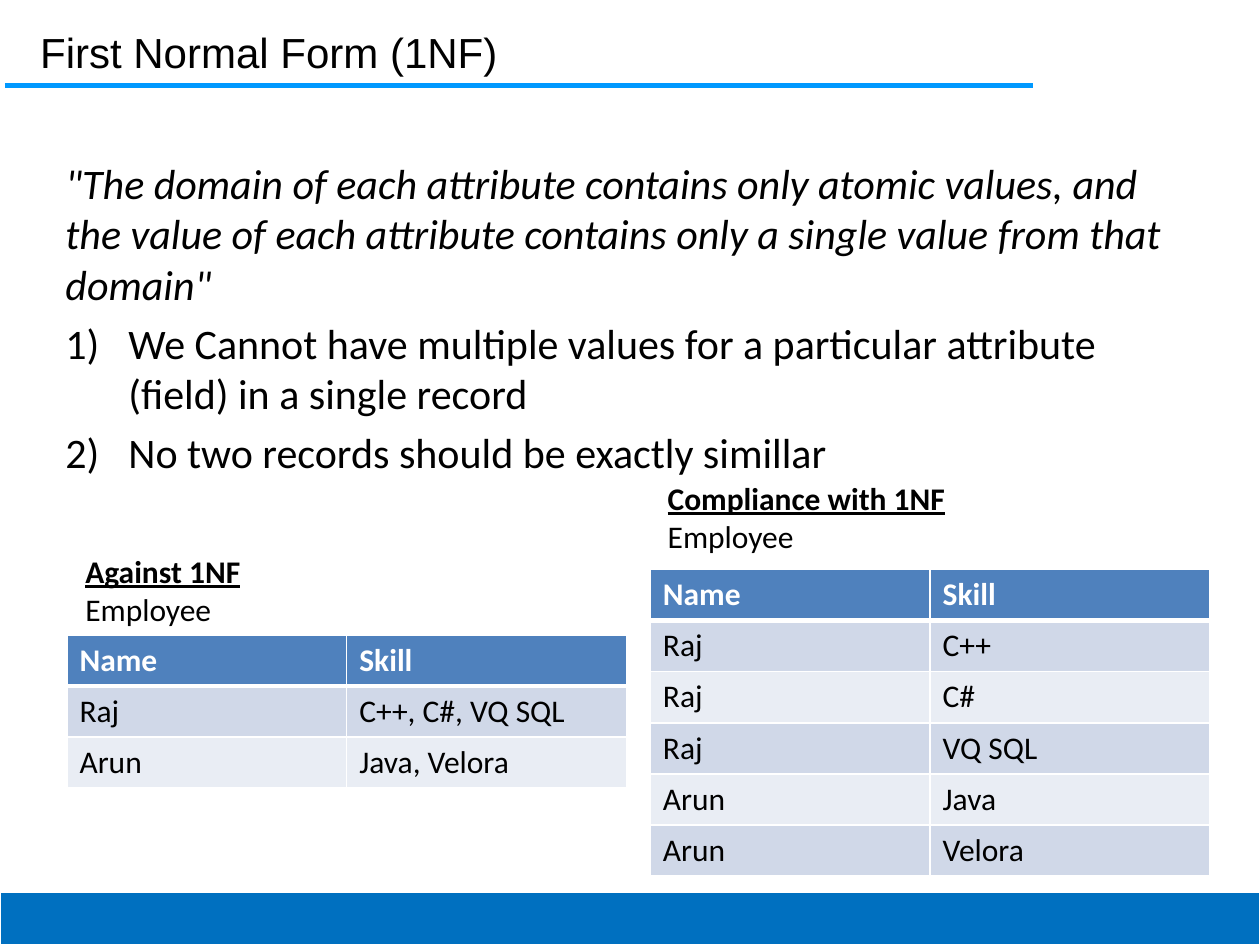
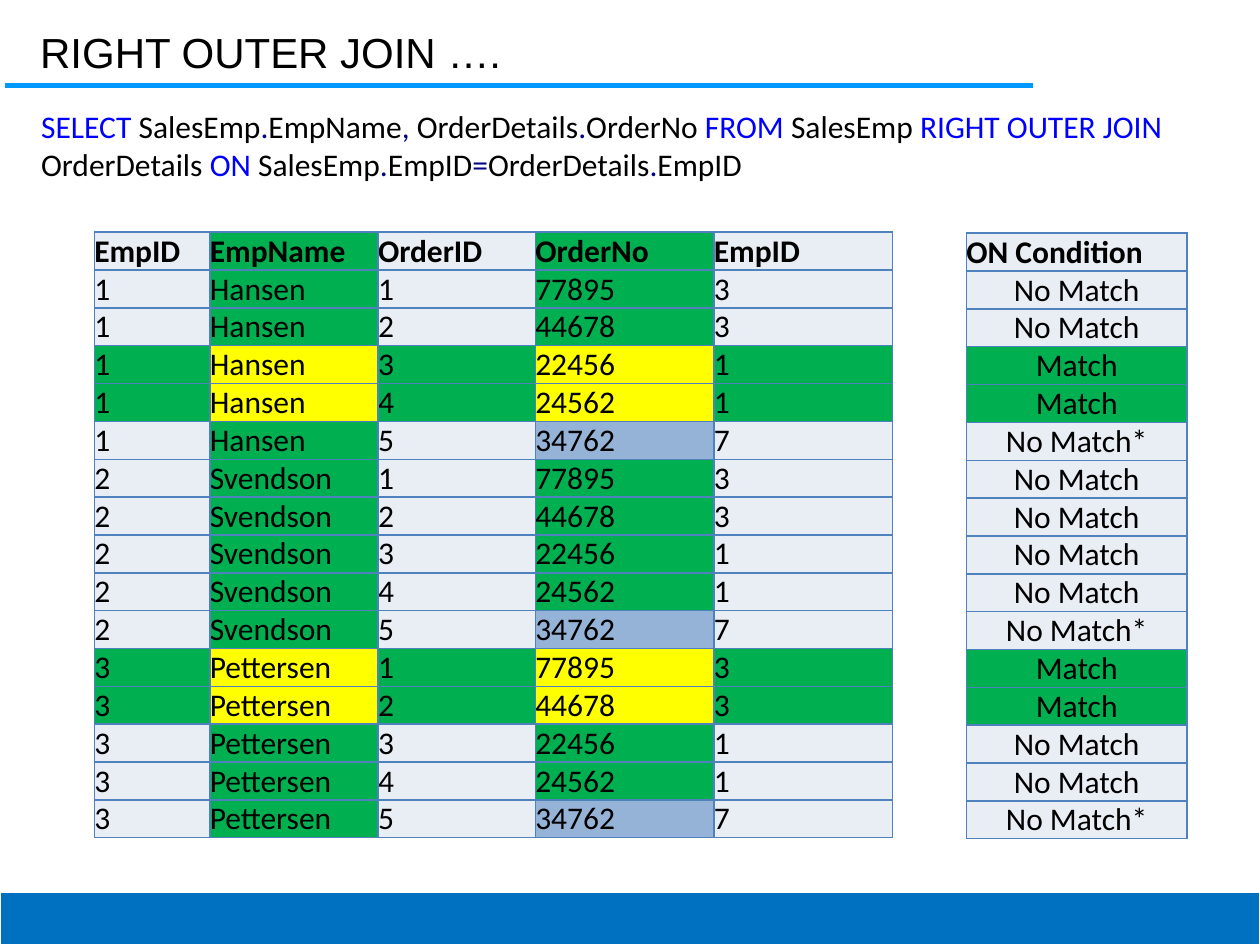
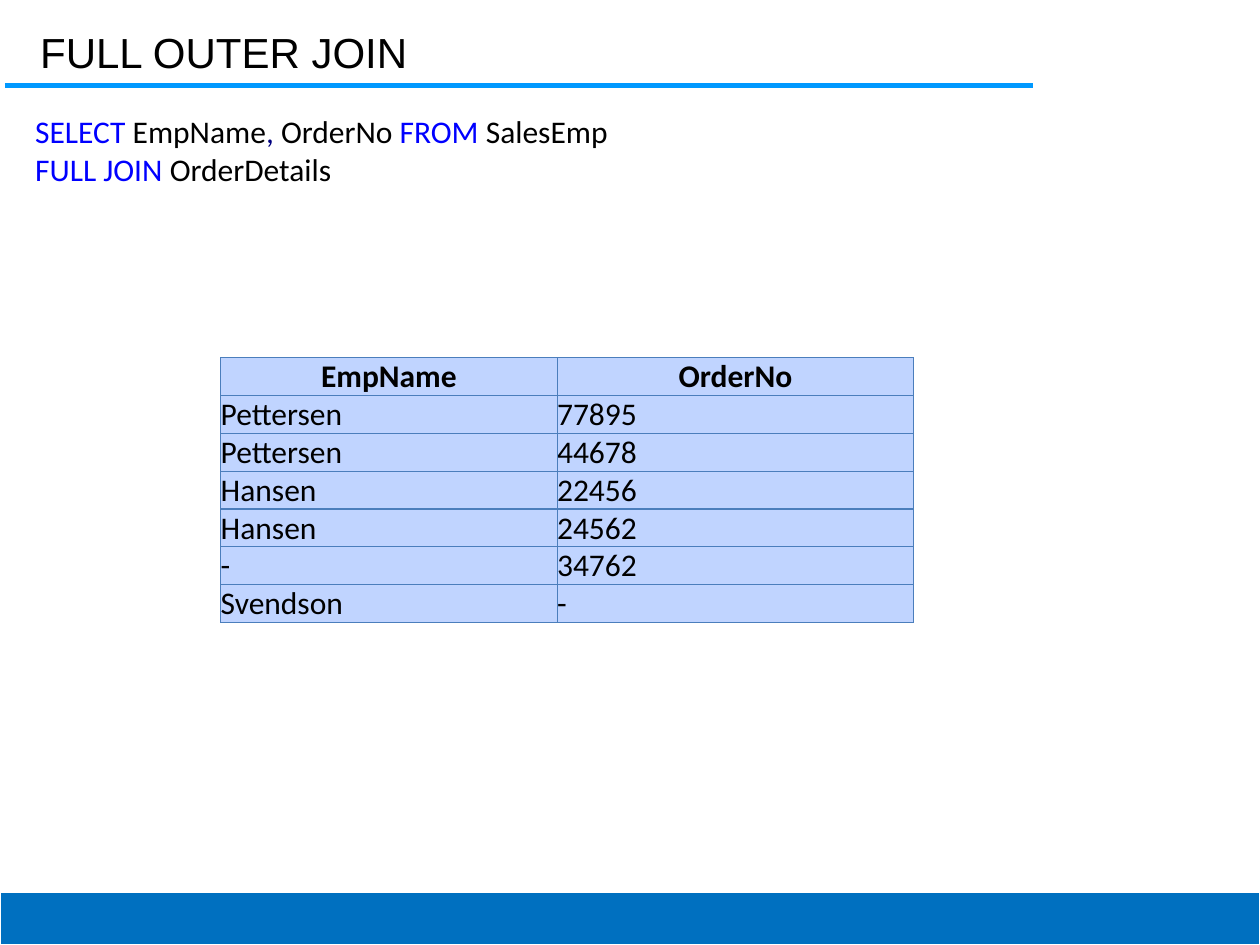
from dataclasses import dataclass
from itertools import product
from typing import Optional

from lxml import etree
from pptx import Presentation
from pptx import util as u
from pptx.dml.color import RGBColor
from pptx.enum import shapes, text
from pptx.oxml import ns

BLACK, WHITE, BLUE, NAVY = "000000", "FFFFFF", "0000FF", "000080"
RULE, FOOTER = "0099FF", "0070C0"
HEADER, BAND_DARK, PALE = "4F81BD", "D0D8E8", "E9EDF4"
GREEN, YELLOW, STEEL = "00B050", "FFFF00", "95B3D7"
RESULT_FILL, RESULT_BORDER = "C0D4FF", "4B7EBC"
CENTER, LEFT = text.PP_ALIGN.CENTER, text.PP_ALIGN.LEFT


@dataclass
class Box:
    left: float
    top: float
    width: float
    height: float

    def emu(self) -> list:
        return [u.Cm(v) for v in (self.left, self.top, self.width, self.height)]


@dataclass
class Run:
    text: str
    color: str = BLACK
    bold: bool = False
    italic: bool = False
    underline: bool = False


@dataclass
class Para:
    runs: list[Run]
    numbered: bool = False
    before: float = 0


@dataclass
class Cell:
    text: str
    fill: str
    color: str = BLACK
    bold: bool = False
    align: text.PP_ALIGN = LEFT


@dataclass
class Grid:
    left: float
    top: float
    cols: list[float]
    row_height: float
    border: str
    border_pt: float = 1
    header_pt: Optional[float] = None
    tight: bool = False


def rgb(color: str) -> RGBColor:
    return RGBColor.from_string(color)


def sub(parent, tag: str, **attrs: str):
    return etree.SubElement(parent, ns.qn(tag), attrs)


def style(r, run: Run, size: float, font: str = "Calibri") -> None:
    r.font.size = u.Pt(size)
    r.font.name = font
    r.font.color.rgb = rgb(run.color)
    r.font.bold = run.bold
    r.font.italic = run.italic
    r.font.underline = run.underline


def add_text(s, box: Box, paras: list[Para], size: float = 18,
             font: str = "Calibri", grow: bool = True):
    tf = s.shapes.add_textbox(*box.emu()).text_frame
    tf.word_wrap = True
    tf.auto_size = text.MSO_AUTO_SIZE.SHAPE_TO_FIT_TEXT if grow else text.MSO_AUTO_SIZE.NONE
    for i, para in enumerate(paras):
        p = tf.add_paragraph() if i else tf.paragraphs[0]
        if para.before:
            p.space_before = u.Pt(para.before)
        if para.numbered:
            pPr = p._p.get_or_add_pPr()
            pPr.set("marL", str(u.Cm(1.27)))
            pPr.set("indent", str(-u.Cm(1.27)))
            sub(pPr, "a:buFont", typeface="+mj-lt")
            sub(pPr, "a:buAutoNum", type="arabicParenR")
        for run in para.runs:
            r = p.add_run()
            r.text = run.text
            style(r, run, size, font)
    return tf


def add_border(cell, side: str, color: str, width: float) -> None:
    ln = sub(cell._tc.get_or_add_tcPr(), f"a:ln{side}", w=str(u.Pt(width)))
    sub(sub(ln, "a:solidFill"), "a:srgbClr", val=color)


def add_grid(s, grid: Grid, rows: list[list[Cell]]) -> None:
    box = Box(grid.left, grid.top, sum(grid.cols), grid.row_height * len(rows))
    table = s.shapes.add_table(len(rows), len(grid.cols), *box.emu()).table
    table.horz_banding = False
    for column, width in zip(table.columns, grid.cols):
        column.width = u.Cm(width)
    for i, row in enumerate(rows):
        table.rows[i].height = u.Cm(grid.row_height)
        for j, item in enumerate(row):
            cell = table.cell(i, j)
            for side in "LRTB":
                under_header = (i, side) in ((0, "B"), (1, "T"))
                width = grid.header_pt if under_header and grid.header_pt else grid.border_pt
                add_border(cell, side, grid.border, width)
            cell.fill.solid()
            cell.fill.fore_color.rgb = rgb(item.fill)
            if grid.tight:
                cell.margin_left = cell.margin_right = 0
                cell.margin_top = cell.margin_bottom = 0
                cell.vertical_anchor = text.MSO_ANCHOR.MIDDLE
            p = cell.text_frame.paragraphs[0]
            p.text = item.text
            p.alignment = item.align
            style(p.runs[0], Run(item.text, item.color, item.bold), 18)


def add_slide(prs, title: str):
    s = prs.slides.add_slide(prs.slide_layouts[6])
    rule = s.shapes.add_connector(shapes.MSO_CONNECTOR.STRAIGHT,
                                  u.Cm(0.1), u.Cm(1.73), u.Cm(20.83), u.Cm(1.73))
    rule.line.color.rgb = rgb(RULE)
    rule.line.width = u.Pt(2.89)
    sub(rule._element.spPr, "a:effectLst")
    tf = add_text(s, Box(0.58, 0.43, 20.24, 1.02), [Para([Run(title)])], 24, "Arial", False)
    tf.margin_left = tf.margin_right = u.Cm(0.23)
    tf.margin_top = tf.margin_bottom = u.Cm(0.1)
    sp = s.shapes.add_shape(shapes.MSO_SHAPE.RECTANGLE, *Box(0, 17.98, 25.4, 1.07).emu())
    sp.shadow.inherit = False
    sp.fill.solid()
    sp.fill.fore_color.rgb = rgb(FOOTER)
    sp.line.color.rgb = rgb(WHITE)
    sp.line.width = u.Pt(0.75)
    return s


def sql(line: str) -> Para:
    def color(token: str) -> str:
        if token.strip() in (".", ",", "="):
            return NAVY
        return BLUE if token.isupper() else BLACK

    return Para([Run(token, color(token)) for token in line.split("|")])


def add_example(s, caption: str, caption_box: Box, left: float, top: float,
                records: list[tuple[str, str]]) -> None:
    rows = [[Cell(name, HEADER, WHITE, True) for name in ("Name", "Skill")]]
    for i, record in enumerate(records):
        rows.append([Cell(value, PALE if i % 2 else BAND_DARK) for value in record])
    add_grid(s, Grid(left, top, [5.64, 5.64], 1.03, WHITE, header_pt=3), rows)
    add_text(s, caption_box, [Para([Run(caption, bold=True, underline=True)]),
                              Para([Run("Employee")])])


def first_normal_form(prs) -> None:
    s = add_slide(prs, "First Normal Form (1NF)")
    quote = ('"The domain of each attribute contains only atomic values, and the value of '
             'each attribute contains only a single value from that domain"')
    rules = ["We Cannot have multiple values for a particular attribute (field) in a single record",
             "No two records should be exactly simillar"]
    add_text(s, Box(1.07, 3.05, 23.29, 7.11),
             [Para([Run(quote, italic=True)])] + [Para([Run(t)], True, 4.8) for t in rules],
             24, grow=False)
    add_example(s, "Against 1NF", Box(1.47, 11, 5.51, 1.8), 1.35, 12.8,
                [("Raj", "C++, C#, VQ SQL"), ("Arun", "Java, Velora")])
    add_example(s, "Compliance with 1NF", Box(13.21, 9.53, 7.9, 1.8), 13.11, 11.48,
                [("Raj", "C++"), ("Raj", "C#"), ("Raj", "VQ SQL"),
                 ("Arun", "Java"), ("Arun", "Velora")])


def right_outer_join(prs) -> None:
    s = add_slide(prs, "RIGHT OUTER JOIN ….")
    add_text(s, Box(0.58, 2.03, 23.98, 1.8), [sql(
        "SELECT |SalesEmp|.|EmpName|, |OrderDetails|.|OrderNo |FROM |SalesEmp |"
        "RIGHT OUTER JOIN |OrderDetails |ON |SalesEmp|.|EmpID|=|OrderDetails|.|EmpID")])
    employees = {"1": "Hansen", "2": "Svendson", "3": "Pettersen"}
    orders = [("1", "77895", "3"), ("2", "44678", "3"), ("3", "22456", "1"),
              ("4", "24562", "1"), ("5", "34762", "7")]
    names = ["EmpID", "EmpName", "OrderID", "OrderNo", "EmpID"]
    joined = [[Cell(name, PALE if j % 2 == 0 else GREEN, bold=True)
               for j, name in enumerate(names)]]
    conditions = [[Cell("ON Condition", PALE, bold=True)]]
    for (emp_id, emp_name), (order_id, order_no, order_emp) in product(employees.items(), orders):
        match, orphan = emp_id == order_emp, order_emp not in employees
        base, key = (GREEN, YELLOW) if match else (PALE, GREEN)
        joined.append([Cell(emp_id, base), Cell(emp_name, key), Cell(order_id, base),
                       Cell(order_no, STEEL if orphan else key), Cell(order_emp, base)])
        label = "Match" if match else "No Match*" if orphan else "No Match"
        conditions.append([Cell(label, base, align=CENTER)])
    add_grid(s, Grid(1.9, 4.68, [2.33, 3.39, 3.17, 3.6, 3.6], 0.76, HEADER, tight=True), joined)
    add_grid(s, Grid(19.48, 4.7, [4.45], 0.76, HEADER, tight=True), conditions)


def full_outer_join(prs) -> None:
    s = add_slide(prs, "FULL OUTER JOIN")
    add_text(s, Box(0.46, 2.13, 24.49, 1.8),
             [sql("SELECT |EmpName|, |OrderNo |FROM |SalesEmp"), sql("FULL JOIN |OrderDetails")])
    records = [("Pettersen", "77895"), ("Pettersen", "44678"), ("Hansen", "22456"),
               ("Hansen", "24562"), ("-", "34762"), ("Svendson", "-")]
    rows = [[Cell(name, RESULT_FILL, bold=True, align=CENTER) for name in ("EmpName", "OrderNo")]]
    rows += [[Cell(value, RESULT_FILL) for value in record] for record in records]
    add_grid(s, Grid(4.45, 7.21, [6.78, 7.19], 0.76, RESULT_BORDER, 0.75, tight=True), rows)


def main() -> None:
    prs = Presentation()
    prs.slide_width, prs.slide_height = u.Cm(25.4), u.Cm(19.05)
    first_normal_form(prs)
    right_outer_join(prs)
    full_outer_join(prs)
    prs.save("out.pptx")


if __name__ == "__main__":
    main()
